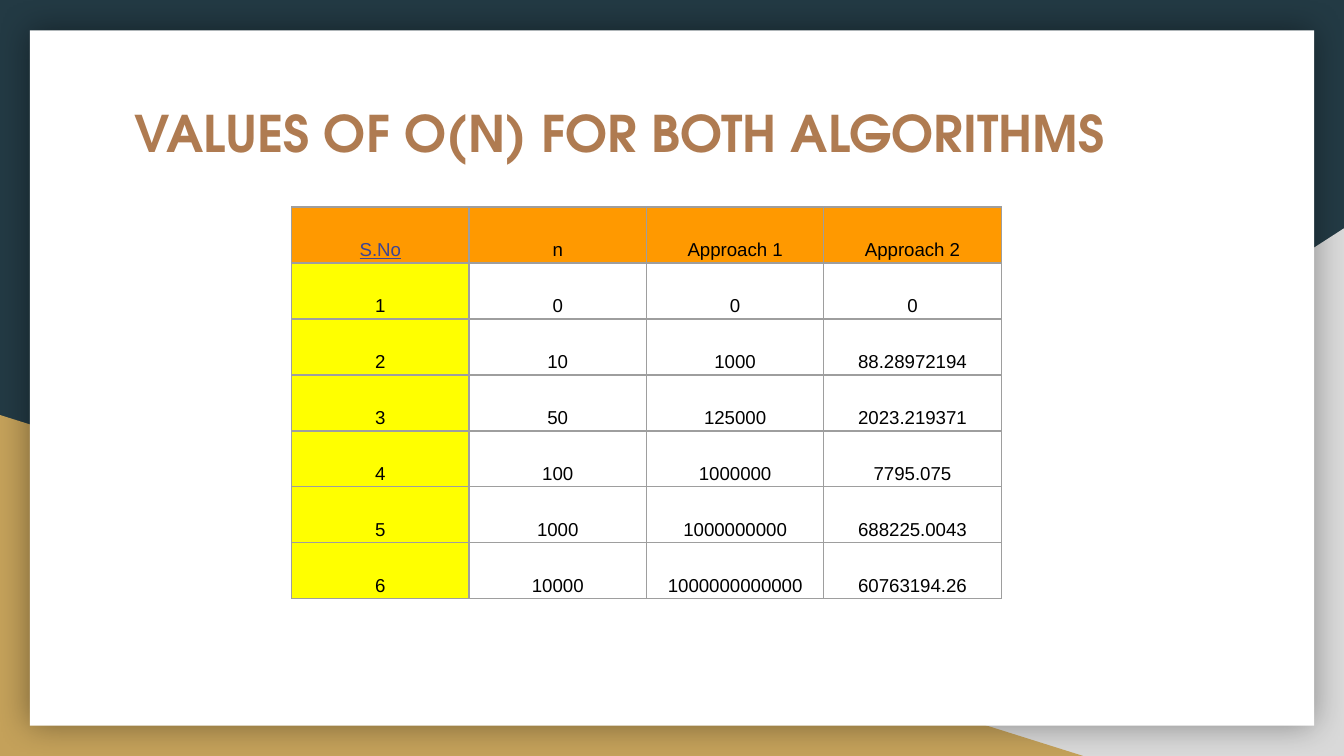
from typing import NamedTuple

from lxml import etree
from pptx import Presentation
from pptx.dml.color import RGBColor
from pptx.enum.shapes import MSO_SHAPE
from pptx.enum.text import MSO_ANCHOR, PP_ALIGN
from pptx.oxml.ns import qn
from pptx.util import Inches, Pt

RECTANGLE, TRIANGLE = MSO_SHAPE.RECTANGLE, MSO_SHAPE.RIGHT_TRIANGLE
TOP, BOTTOM = MSO_ANCHOR.TOP, MSO_ANCHOR.BOTTOM
CENTER, JUSTIFY = PP_ALIGN.CENTER, PP_ALIGN.JUSTIFY

NAVY = RGBColor(0x23, 0x3A, 0x44)
GOLD = RGBColor(0xC4, 0xA1, 0x5A)
SILVER = RGBColor(0xD9, 0xD9, 0xD9)
WHITE = RGBColor(0xFF, 0xFF, 0xFF)
BLACK = RGBColor(0, 0, 0)
BRONZE = RGBColor(0xAF, 0x7B, 0x51)
ORANGE = RGBColor(0xFF, 0x99, 0x00)
YELLOW = RGBColor(0xFF, 0xFF, 0x00)
INDIGO = RGBColor(0x3D, 0x45, 0x94)
GRAY = RGBColor(0x9E, 0x9E, 0x9E)

SLIDE_W = Inches(10)
SLIDE_H = SLIDE_W * 9 // 16
TABLE_LEFT, TABLE_TOP = Inches(2.17), Inches(1.54)
COL_W, ROW_H = Inches(1.32), Pt(30)
LINE_SPACING = 1.15

ROWS = [
    ("S.No", "n", "Approach 1", "Approach 2"),
    ("1", "0", "0", "0"),
    ("2", "10", "1000", "88.28972194"),
    ("3", "50", "125000", "2023.219371"),
    ("4", "100", "1000000", "7795.075"),
    ("5", "1000", "1000000000", "688225.0043"),
    ("6", "10000", "1000000000000", "60763194.26"),
]


class Panel(NamedTuple):
    """A background shape; lengths are percentages of the slide's size."""
    kind: int
    left: float
    top: float
    width: float
    height: float
    fill: RGBColor
    flipped: bool = False
    glow: bool = False


PANELS = [
    Panel(TRIANGLE, 39.2, 30.2, 60.8, 69.8, SILVER, flipped=True),
    Panel(TRIANGLE, 0, 54.9, 80.6, 45.1, GOLD),
    Panel(RECTANGLE, 2.22, 4, 95.56, 92, WHITE, glow=True),
]


def add_glow(sp) -> None:
    """Give the shape a soft, centred shadow."""
    effects = sp._element.spPr.find(qn("a:effectLst"))
    shadow = etree.SubElement(effects, qn("a:outerShdw"), blurRad=str(Pt(18)),
                              dist="0", dir="0", algn="ctr", rotWithShape="0")
    color = etree.SubElement(shadow, qn("a:srgbClr"), val=str(BLACK))
    etree.SubElement(color, qn("a:alpha"), val="40000")


def add_panel(slide, panel: Panel) -> None:
    sp = slide.shapes.add_shape(
        panel.kind,
        round(panel.left * SLIDE_W / 100), round(panel.top * SLIDE_H / 100),
        round(panel.width * SLIDE_W / 100), round(panel.height * SLIDE_H / 100))
    sp.fill.solid()
    sp.fill.fore_color.rgb = panel.fill
    sp.line.fill.background()
    sp.shadow.inherit = False
    if panel.flipped:
        sp._element.spPr.find(qn("a:xfrm")).set("flipH", "1")
    if panel.glow:
        add_glow(sp)


def add_run(tf, text: str, font: str, size: float, color: RGBColor, align,
            bold: bool = False, underline: bool = False) -> None:
    p = tf.paragraphs[0]
    p.alignment = align
    p.line_spacing = LINE_SPACING
    r = p.add_run()
    r.text = text
    r.font.name = font
    r.font.size = Pt(size)
    r.font.color.rgb = color
    r.font.bold = bold
    r.font.underline = underline


def set_title(slide, text: str) -> None:
    sp = slide.shapes.title
    sp.left, sp.top = Inches(0.9), Inches(0.59)
    sp.width, sp.height = Inches(8.21), Inches(1.04)
    tf = sp.text_frame
    tf.word_wrap = True
    tf.vertical_anchor = TOP
    tf.margin_left = tf.margin_right = Inches(0.1)
    tf.margin_top = tf.margin_bottom = Inches(0.1)
    add_run(tf, text, "TeX Gyre Adventor", 27, BRONZE, JUSTIFY, bold=True)
    # Bring the title in front of the panels
    sp._element.getparent().append(sp._element)


def set_borders(cell) -> None:
    props = cell._tc.get_or_add_tcPr()
    for i, side in enumerate(("a:lnL", "a:lnR", "a:lnT", "a:lnB")):
        line = etree.Element(qn(side), w=str(Pt(0.75)))
        fill = etree.SubElement(line, qn("a:solidFill"))
        etree.SubElement(fill, qn("a:srgbClr"), val=str(GRAY))
        props.insert(i, line)


def fill_cell(cell, text: str, row: int, col: int) -> None:
    if row == 0 or col == 0:
        cell.fill.solid()
        cell.fill.fore_color.rgb = ORANGE if row == 0 else YELLOW
    else:
        cell.fill.background()
    cell.vertical_anchor = BOTTOM
    cell.margin_left = cell.margin_right = Inches(0.03)
    cell.margin_top = cell.margin_bottom = Inches(0.02)
    corner = row == 0 and col == 0
    add_run(cell.text_frame, text, "Arial", 10, INDIGO if corner else BLACK,
            CENTER, underline=corner)
    set_borders(cell)


def add_values_table(slide, rows: list[tuple[str, ...]]) -> None:
    n_rows, n_cols = len(rows), len(rows[0])
    table = slide.shapes.add_table(
        n_rows, n_cols, TABLE_LEFT, TABLE_TOP,
        n_cols * COL_W, n_rows * ROW_H).table
    table.first_row = table.horz_banding = False
    for i, values in enumerate(rows):
        for j, text in enumerate(values):
            fill_cell(table.cell(i, j), text, i, j)


def main() -> None:
    prs = Presentation()
    prs.slide_width, prs.slide_height = SLIDE_W, SLIDE_H
    slide = prs.slides.add_slide(prs.slide_layouts.get_by_name("Title Only"))

    # Background
    slide.background.fill.solid()
    slide.background.fill.fore_color.rgb = NAVY
    for panel in PANELS:
        add_panel(slide, panel)

    # Title and table
    set_title(slide, "VALUES OF O(N) FOR BOTH ALGORITHMS")
    add_values_table(slide, ROWS)

    prs.save("out.pptx")


if __name__ == "__main__":
    main()
